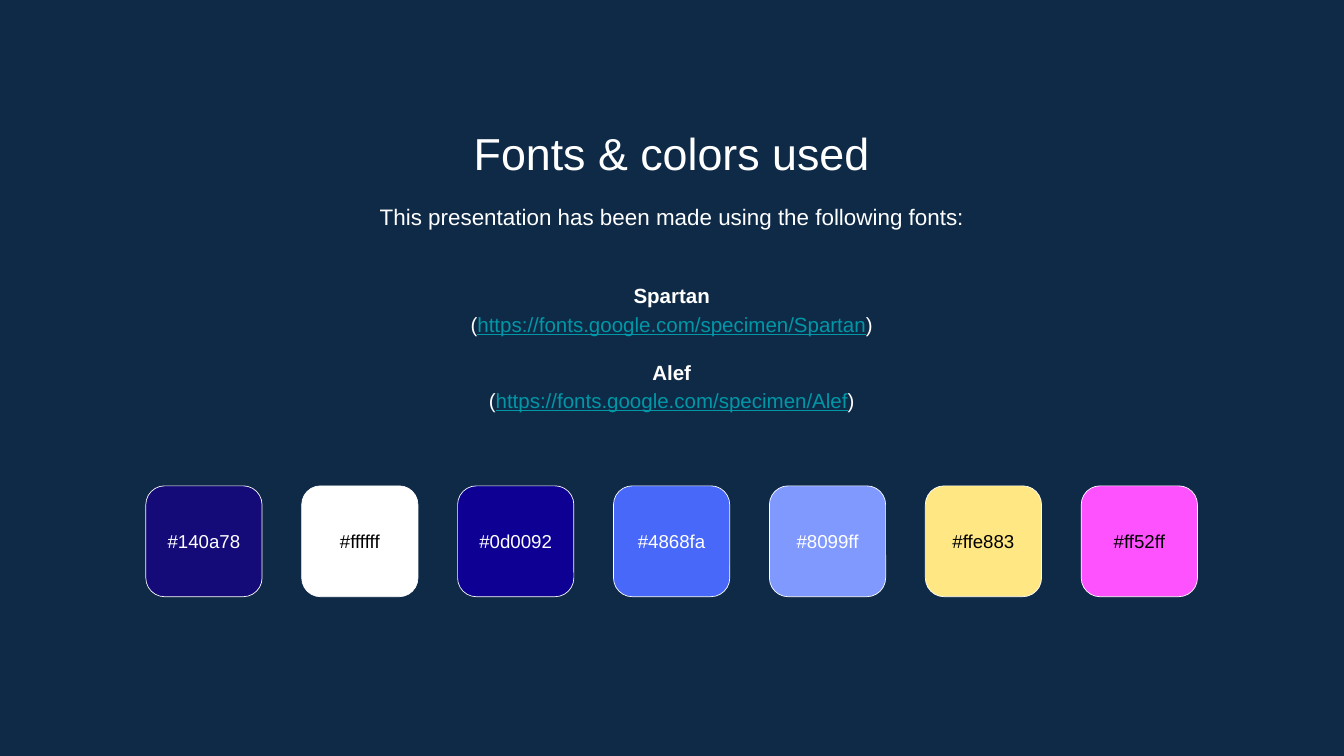
from dataclasses import dataclass
from typing import NamedTuple

from pptx import Presentation
from pptx.dml.color import RGBColor
from pptx.enum.shapes import MSO_SHAPE
from pptx.enum.text import MSO_ANCHOR, MSO_AUTO_SIZE, PP_ALIGN
from pptx.util import Inches, Pt


@dataclass(frozen=True)
class Theme:
    font: str = "Arial"
    background: str = "0E2A47"
    light: str = "FFFFFF"
    dark: str = "000000"
    link: str = "0097A7"
    title_size: float = 48
    intro_size: float = 24
    font_list_size: float = 22
    swatch_size: float = 20
    line_spacing: float = 1.15
    family_gap: float = 21


class FontFamily(NamedTuple):
    name: str
    url: str


class Swatch(NamedTuple):
    code: str
    text_color: str


THEME = Theme()
FAMILIES = [
    FontFamily("Spartan", "https://fonts.google.com/specimen/Spartan"),
    FontFamily("Alef", "https://fonts.google.com/specimen/Alef"),
]
SWATCHES = [
    Swatch("#140a78", THEME.light),
    Swatch("#ffffff", THEME.dark),
    Swatch("#0d0092", THEME.light),
    Swatch("#4868fa", THEME.light),
    Swatch("#8099ff", THEME.light),
    Swatch("#ffe883", THEME.dark),
    Swatch("#ff52ff", THEME.dark),
]
COLUMN_LEFT, COLUMN_WIDTH = 2.29, 15.41
SWATCH_LEFT, SWATCH_TOP = 2.17, 7.23
SWATCH_WIDTH, SWATCH_HEIGHT = 1.73, 1.65
SWATCH_PITCH = 2.32
INSET = Inches(0.2)


def apply_format(target, values: dict) -> None:
    for attribute, value in values.items():
        setattr(target, attribute, value)


def format_frame(frame, anchor: MSO_ANCHOR) -> None:
    apply_format(frame, {
        "word_wrap": True,
        "auto_size": MSO_AUTO_SIZE.NONE,
        "vertical_anchor": anchor,
        "margin_left": INSET,
        "margin_right": INSET,
        "margin_top": INSET,
        "margin_bottom": INSET,
    })


def add_run(paragraph, text: str, size: float, color: str = THEME.light, **styles: bool) -> None:
    run = paragraph.add_run()
    run.text = text
    apply_format(run.font, {"name": THEME.font, "size": Pt(size), **styles})
    run.font.color.rgb = RGBColor.from_string(color)


def format_paragraph(paragraph, line_spacing: float = 1, space_before: float = 0) -> None:
    apply_format(paragraph, {
        "alignment": PP_ALIGN.CENTER,
        "line_spacing": line_spacing,
        "space_before": Pt(space_before),
    })


def add_column_box(slide, top: float, height: float, anchor: MSO_ANCHOR):
    box = slide.shapes.add_textbox(
        Inches(COLUMN_LEFT), Inches(top), Inches(COLUMN_WIDTH), Inches(height))
    format_frame(box.text_frame, anchor)
    return box.text_frame


def add_title(slide, text: str) -> None:
    title = slide.shapes.title
    apply_format(title, {
        "left": Inches(COLUMN_LEFT),
        "top": Inches(1.67),
        "width": Inches(COLUMN_WIDTH),
        "height": Inches(1.06),
    })
    format_frame(title.text_frame, MSO_ANCHOR.TOP)
    heading = title.text_frame.paragraphs[0]
    format_paragraph(heading)
    add_run(heading, text, THEME.title_size)


def add_intro(slide, text: str) -> None:
    intro = add_column_box(slide, 2.77, 0.96, MSO_ANCHOR.TOP).paragraphs[0]
    format_paragraph(intro, THEME.line_spacing)
    add_run(intro, text, THEME.intro_size)


def add_font_list(slide, families: list[FontFamily]) -> None:
    frame = add_column_box(slide, 3.78, 2.74, MSO_ANCHOR.MIDDLE)
    size = THEME.font_list_size
    for index, family in enumerate(families):
        name = frame.add_paragraph() if index else frame.paragraphs[0]
        format_paragraph(name, THEME.line_spacing, THEME.family_gap if index else 0)
        add_run(name, family.name, size, bold=True)

        address = frame.add_paragraph()
        format_paragraph(address, THEME.line_spacing)
        add_run(address, "(", size)
        add_run(address, family.url, size, THEME.link, underline=True)
        add_run(address, ")", size)


def add_swatch(slide, swatch: Swatch, left: float) -> None:
    tile = slide.shapes.add_shape(
        MSO_SHAPE.ROUNDED_RECTANGLE, Inches(left), Inches(SWATCH_TOP),
        Inches(SWATCH_WIDTH), Inches(SWATCH_HEIGHT))
    tile.adjustments[0] = 0.17
    tile.shadow.inherit = False
    tile.fill.solid()
    tile.fill.fore_color.rgb = RGBColor.from_string(swatch.code.lstrip("#").upper())
    tile.line.color.rgb = RGBColor.from_string(THEME.light)
    tile.line.width = Pt(0.75)
    format_frame(tile.text_frame, MSO_ANCHOR.MIDDLE)
    label = tile.text_frame.paragraphs[0]
    format_paragraph(label)
    add_run(label, swatch.code, THEME.swatch_size, swatch.text_color)


def main() -> None:
    presentation = Presentation()
    presentation.slide_width = Inches(20)
    presentation.slide_height = Inches(11.25)
    slide = presentation.slides.add_slide(presentation.slide_layouts.get_by_name("Title Only"))
    slide.background.fill.solid()
    slide.background.fill.fore_color.rgb = RGBColor.from_string(THEME.background)

    add_title(slide, "Fonts & colors used")
    add_intro(slide, "This presentation has been made using the following fonts:")
    add_font_list(slide, FAMILIES)
    for index, swatch in enumerate(SWATCHES):
        add_swatch(slide, swatch, SWATCH_LEFT + index * SWATCH_PITCH)

    presentation.save("out.pptx")


if __name__ == "__main__":
    main()
